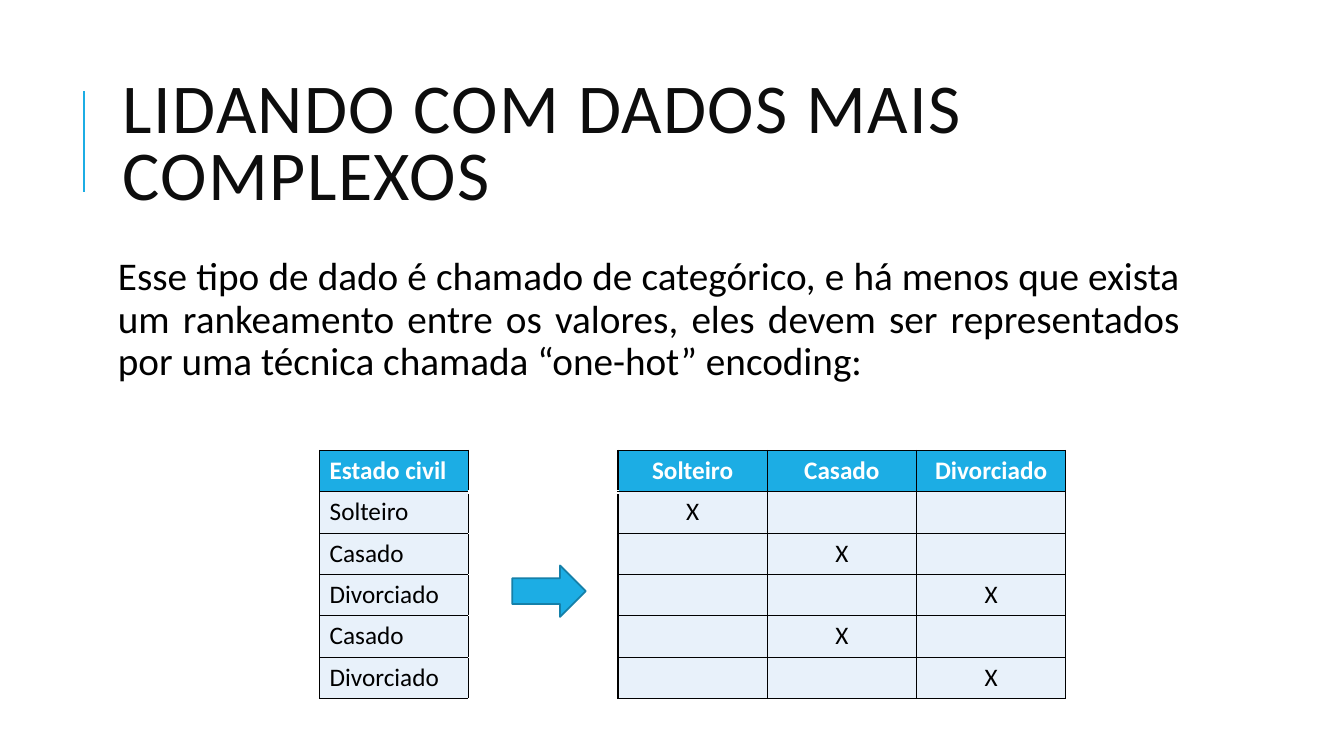
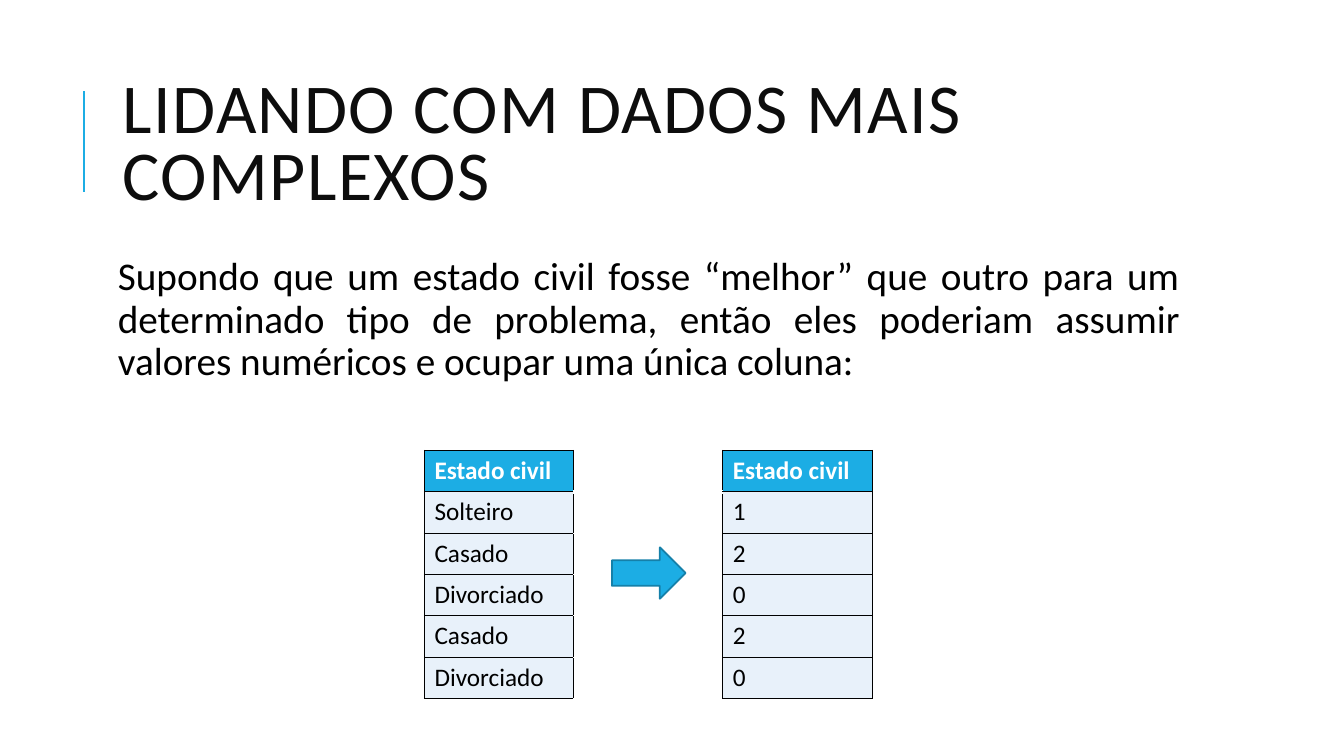
"""Build two slides on encoding categorical data."""
import pptx
import pptx.dml.color
import pptx.enum.shapes
import pptx.enum.text
import pptx.oxml
import pptx.oxml.ns
import pptx.util
from pptx.util import Inches

RGBColor = pptx.dml.color.RGBColor
ALIGN = pptx.enum.text.PP_ALIGN
ANCHOR = pptx.enum.text.MSO_ANCHOR

BLUE = RGBColor(0x1C, 0xAD, 0xE4)
EDGE = RGBColor(0x15, 0x80, 0xA9)
PALE = RGBColor(0xE8, 0xF1, 0xFA)
INK = RGBColor(0x0D, 0x0D, 0x0D)
BLACK = RGBColor(0, 0, 0)
WHITE = RGBColor(255, 255, 255)

FONT = "Calibri"
TITLE = "LIDANDO COM DADOS MAIS COMPLEXOS"
LEFT, WIDTH = 1.12, 10.63
COL, ROW = 1.48, 0.41
TABLE_TOP = 4.47
GAP = 1
HEAD = "Estado civil"
STATES = ["Solteiro", "Casado", "Divorciado", "Casado", "Divorciado"]
KINDS = ["Solteiro", "Casado", "Divorciado"]
RANKS = {"Solteiro": "1", "Casado": "2", "Divorciado": "0"}


def style(para, size, color, bold=False):
    """Set the font of a paragraph."""
    font = para.font
    font.name = FONT
    font.size = pptx.util.Pt(size)
    font.bold = bold
    font.color.rgb = color


def add_text(slide, text, top, height, size, color):
    """Add a wrapped text box and return its frame and paragraph."""
    box = slide.shapes.add_textbox(
        Inches(LEFT), Inches(top), Inches(WIDTH), Inches(height))
    frame = box.text_frame
    frame.word_wrap = True
    para = frame.paragraphs[0]
    para.text = text
    style(para, size, color)
    return frame, para


def add_title(slide):
    """Add the shared title and the blue rule beside it."""
    rule = slide.shapes.add_connector(
        pptx.enum.shapes.MSO_CONNECTOR.STRAIGHT,
        Inches(0.83), Inches(1.9), Inches(0.83), Inches(0.9))
    rule.line.color.rgb = BLUE
    rule.line.width = pptx.util.Pt(1.5)
    props = rule._element.spPr
    props.append(props.makeelement(pptx.oxml.ns.qn("a:effectLst"), {}))
    frame, para = add_text(slide, TITLE, 0.64, 1.64, 50, INK)
    frame.vertical_anchor = ANCHOR.MIDDLE
    para.line_spacing = 0.8
    para.runs[0]._r.get_or_add_rPr().set("spc", "100")


def add_body(slide, text):
    """Add the justified paragraph under the title."""
    frame, para = add_text(slide, text, 2.5, 1.5, 28, BLACK)
    frame.margin_left = frame.margin_right = Inches(0.05)
    frame.margin_top = frame.margin_bottom = Inches(0.05)
    para.alignment = ALIGN.JUSTIFY
    para.line_spacing = 0.9


def set_edge(cell, side, color, width=1):
    """Draw one border of a cell."""
    space = pptx.oxml.ns.nsdecls("a")
    edge = pptx.oxml.parse_xml(
        f'<a:ln{side} {space} w="{width * 12700}"><a:solidFill>'
        f'<a:srgbClr val="{color}"/></a:solidFill></a:ln{side}>')
    cell._tc.get_or_add_tcPr().append(edge)


def fill_cell(cell, text, head, align):
    """Write a data cell with its fill and borders."""
    for side in "LRTB":
        set_edge(cell, side, BLACK)
    cell.fill.solid()
    cell.fill.fore_color.rgb = BLUE if head else PALE
    para = cell.text_frame.paragraphs[0]
    para.text = text
    para.alignment = align
    style(para, 18, WHITE if head else BLACK, head)


def clear_cell(cell, head):
    """Leave a cell of the gap column open."""
    for side in "LR":
        set_edge(cell, side, BLACK)
    set_edge(cell, "T", WHITE)
    set_edge(cell, "B", WHITE, 3 if head else 1)
    cell.fill.background()


def add_grid(slide, left, rows, align):
    """Add a table whose second column parts input from output."""
    count = len(rows[0])
    table = slide.shapes.add_table(
        len(rows), count, Inches(left), Inches(TABLE_TOP),
        Inches(COL * count), Inches(ROW * len(rows))).table
    table.horz_banding = False
    for col in table.columns:
        col.width = Inches(COL)
    for i, row in enumerate(rows):
        table.rows[i].height = Inches(ROW)
        for j, text in enumerate(row):
            cell = table.cell(i, j)
            if j == GAP:
                clear_cell(cell, i == 0)
            else:
                fill_cell(cell, text, i == 0, align if j > GAP else ALIGN.LEFT)


def add_arrow(slide, left, top):
    """Add the arrow between input and output."""
    arrow = slide.shapes.add_shape(
        pptx.enum.shapes.MSO_SHAPE.RIGHT_ARROW,
        Inches(left), Inches(top), Inches(0.73), Inches(0.51))
    arrow.shadow.inherit = False
    arrow.fill.solid()
    arrow.fill.fore_color.rgb = BLUE
    arrow.line.color.rgb = EDGE
    arrow.line.width = pptx.util.Pt(1.25)


def add_page(deck, text, left, rows, align, arrow):
    """Add one slide with title, body, table and arrow."""
    slide = deck.slides.add_slide(deck.slide_layouts[6])
    add_title(slide)
    add_body(slide, text)
    add_grid(slide, left, rows, align)
    add_arrow(slide, *arrow)


def main():
    """Build and save the deck."""
    deck = pptx.Presentation()
    deck.slide_width, deck.slide_height = Inches(13.33), Inches(7.5)
    marks = [[HEAD, ""] + KINDS]
    marks += [[state, ""] + ["X" if state == kind else "" for kind in KINDS]
              for state in STATES]
    ranks = [[HEAD, "", HEAD]]
    ranks += [[state, "", RANKS[state]] for state in STATES]
    add_page(
        deck,
        "Esse tipo de dado é chamado de categórico, e há menos que exista um "
        "rankeamento entre os valores, eles devem ser representados por uma "
        "técnica chamada “one-hot” encoding:",
        3.17, marks, ALIGN.CENTER, (5.08, 5.61))
    add_page(
        deck,
        "Supondo que um estado civil fosse “melhor” que outro para um "
        "determinado tipo de problema, então eles poderiam assumir valores "
        "numéricos e ocupar uma única coluna:",
        4.21, ranks, ALIGN.LEFT, (6.07, 5.43))
    deck.save("out.pptx")


if __name__ == "__main__":
    main()
